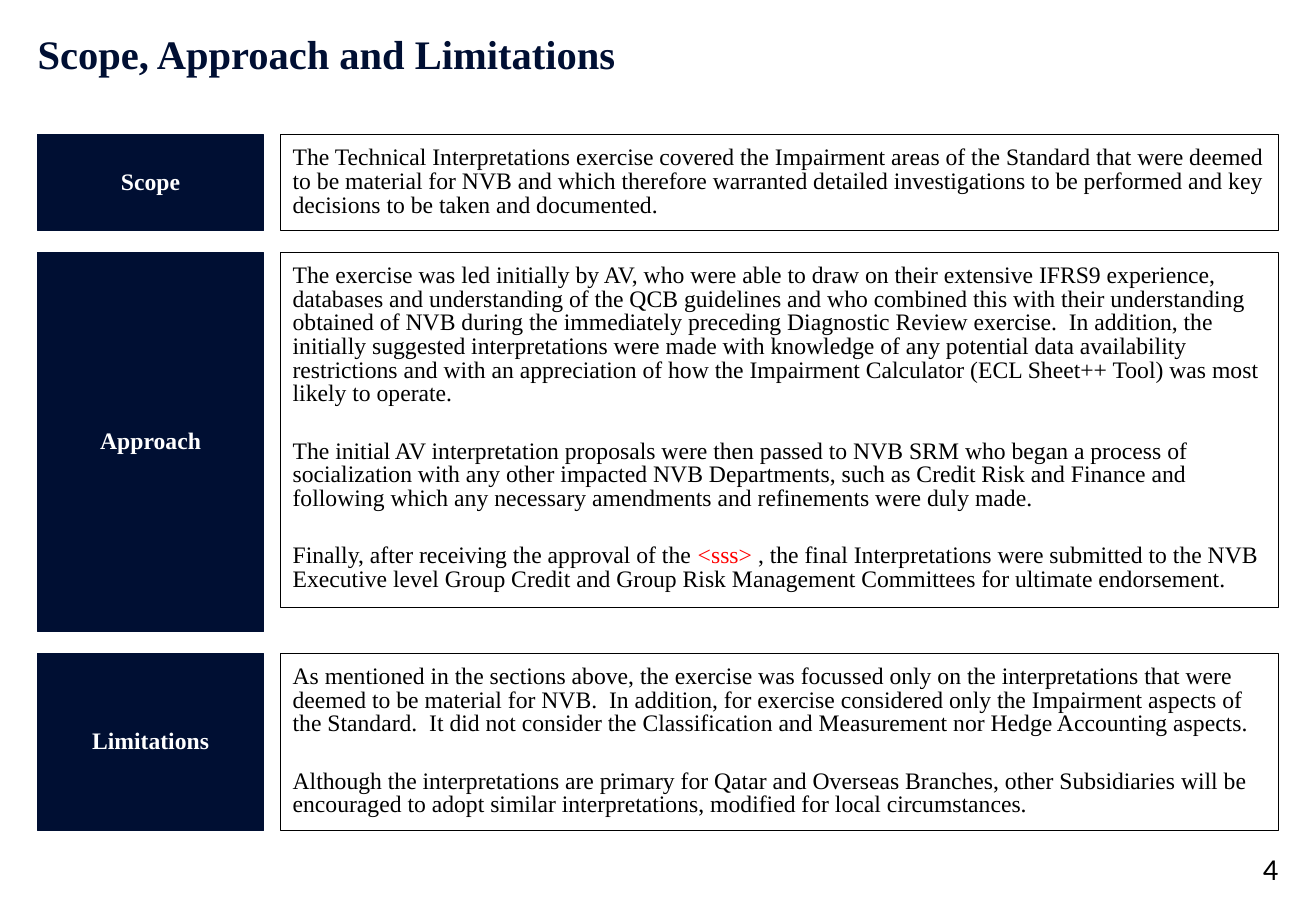
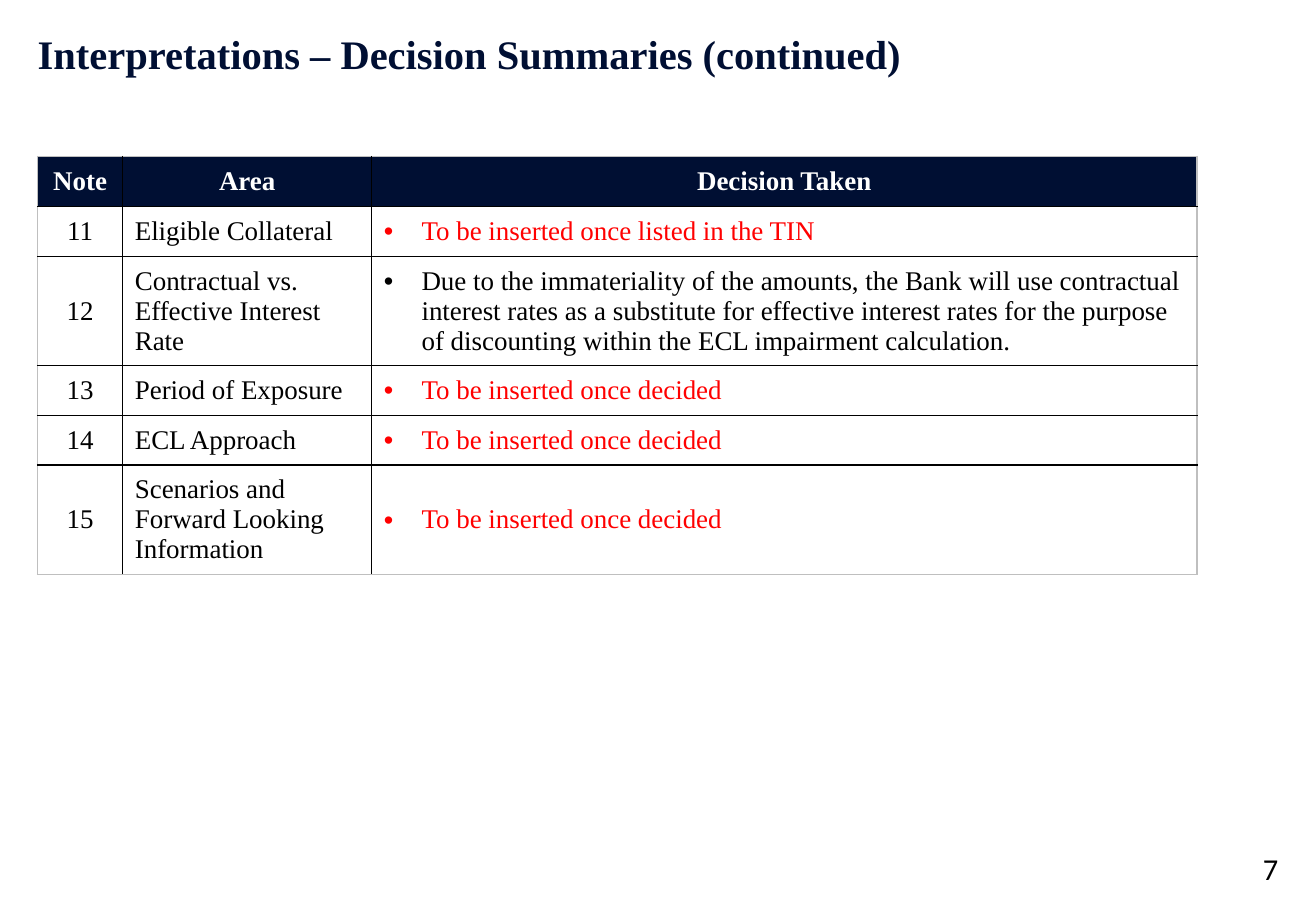
from lxml import etree
from pptx import Presentation
from pptx.dml.color import RGBColor
from pptx.enum.shapes import MSO_SHAPE
from pptx.enum.text import MSO_ANCHOR, MSO_AUTO_SIZE, PP_ALIGN
from pptx.oxml.ns import qn
from pptx.util import Inches, Pt

NAVY = RGBColor(0x00, 0x0F, 0x33)
BLACK = RGBColor(0x00, 0x00, 0x00)
WHITE = RGBColor(0xFF, 0xFF, 0xFF)
RED = RGBColor(0xFF, 0x00, 0x00)
GREY = RGBColor(0xBF, 0xBF, 0xBF)

RECTANGLE = MSO_SHAPE.RECTANGLE
LEFT, CENTER, RIGHT = PP_ALIGN.LEFT, PP_ALIGN.CENTER, PP_ALIGN.RIGHT
TOP, MIDDLE, BOTTOM = MSO_ANCHOR.TOP, MSO_ANCHOR.MIDDLE, MSO_ANCHOR.BOTTOM

SERIF = "Times New Roman"
SANS = "Calibri"
MARGIN = 0.31
RIGHT_EDGE = 10.52
TITLE_ONLY = 5

SECTION_TOP = 1.11
SECTION_GAP = 0.18
LABEL_WIDTH = 1.86
BODY_LEFT = 2.31

# Label, label height, body height, paragraphs; a tuple is a coloured run
SECTIONS = [
    ("Scope", 0.79, 0.79, [
        "The Technical Interpretations exercise covered the Impairment areas of the Standard that were deemed to be material for NVB and which therefore warranted detailed investigations to be performed and key decisions to be taken and documented.",
    ]),
    ("Approach", 3.12, 2.92, [
        "The exercise was led initially by AV, who were able to draw on their extensive IFRS9 experience, databases and understanding of the QCB guidelines and who combined this with their understanding obtained of NVB during the immediately preceding Diagnostic Review exercise.  In addition, the initially suggested interpretations were made with knowledge of any potential data availability restrictions and with an appreciation of how the Impairment Calculator (ECL Sheet++ Tool) was most likely to operate.",
        "The initial AV interpretation proposals were then passed to NVB SRM who began a process of socialization with any other impacted NVB Departments, such as Credit Risk and Finance and following which any necessary amendments and refinements were duly made.",
        ["Finally, after receiving the approval of the ", ("<sss> ", RED),
         ", the final Interpretations were submitted to the NVB Executive level Group Credit and Group Risk Management Committees for ultimate endorsement."],
    ]),
    ("Limitations", 1.46, 1.46, [
        "As mentioned in the sections above, the exercise was focussed only on the interpretations that were deemed to be material for NVB.  In addition, for exercise considered only the Impairment aspects of the Standard.  It did not consider the Classification and Measurement nor Hedge Accounting aspects.",
        "Although the interpretations are primary for Qatar and Overseas Branches, other Subsidiaries will be encouraged to adopt similar interpretations, modified for local circumstances.",
    ]),
]

COLUMN_WIDTHS = [0.7, 2.05, 6.79]
HEADINGS = ["Note", "Area", "Decision Taken"]
# Note, area, decision, decision colour, row height
DECISIONS = [
    ("11", "Eligible Collateral", "To be inserted once listed in the TIN", RED, 0.41),
    ("12", "Contractual vs. Effective Interest Rate",
     "Due to the immateriality of the amounts, the Bank will use contractual interest rates as a substitute for effective interest rates for the purpose of discounting within the ECL impairment calculation.", BLACK, 0.84),
    ("13", "Period of Exposure", "To be inserted once decided", RED, 0.41),
    ("14", "ECL Approach", "To be inserted once decided", RED, 0.41),
    ("15", "Scenarios and Forward Looking Information",
     "To be inserted once decided", RED, 0.84),
]


def add_bullet(paragraph, indent=0.31):
    properties = paragraph._p.get_or_add_pPr()
    properties.set("marL", str(Inches(indent)))
    properties.set("indent", str(-Inches(indent)))
    etree.SubElement(properties, qn("a:buFont"), typeface="Arial")
    etree.SubElement(properties, qn("a:buChar"), char="•")


def write(frame, paragraphs, font=SERIF, size=14, color=BLACK, bold=False,
          align=LEFT, anchor=TOP, inset=None, spacing=None, gap=0, bullet=False):
    """Fill a text frame; each paragraph is a string or a list of runs."""
    frame.word_wrap = True
    frame.vertical_anchor = anchor
    if inset is not None:
        frame.margin_left = frame.margin_right = Inches(inset)
        frame.margin_top = frame.margin_bottom = Inches(inset)
    for index, runs in enumerate(paragraphs):
        paragraph = frame.add_paragraph() if index else frame.paragraphs[0]
        if bullet:
            add_bullet(paragraph)
        paragraph.alignment = align
        if spacing:
            paragraph.line_spacing = spacing
        if index and gap:
            paragraph.space_before = Pt(gap)
        for part in [runs] if isinstance(runs, str) else runs:
            text, run_color = (part, color) if isinstance(part, str) else part
            run = paragraph.add_run()
            run.text = text
            run.font.name = font
            run.font.size = Pt(size)
            run.font.bold = bold
            run.font.color.rgb = run_color


def add_page(prs, heading, number):
    """Add a slide with the shared title and page number."""
    slide = prs.slides.add_slide(prs.slide_layouts[TITLE_ONLY])
    title = slide.shapes.title
    title.left, title.top = Inches(MARGIN), Inches(0.28)
    title.width, title.height = Inches(10.2), Inches(1.01)
    title.text_frame.auto_size = MSO_AUTO_SIZE.NONE
    write(title.text_frame, [heading], size=24, color=NAVY, bold=True,
          inset=0, spacing=0.9)
    page_number = slide.shapes.add_textbox(
        Inches(RIGHT_EDGE - 0.48), Inches(6.99), Inches(0.48), Inches(0.31))
    write(page_number.text_frame, [number], font=SANS, size=18, align=RIGHT,
          anchor=BOTTOM, inset=0)
    return slide


def add_box(slide, left, top, width, height, line, fill=None):
    box = slide.shapes.add_shape(
        RECTANGLE, Inches(left), Inches(top), Inches(width), Inches(height))
    box.shadow.inherit = False
    if fill is None:
        box.fill.background()
    else:
        box.fill.solid()
        box.fill.fore_color.rgb = fill
    box.line.color.rgb = line
    box.line.width = Pt(0.75)
    return box


def add_section(slide, top, label, label_height, body_height, paragraphs):
    """Place a navy label and the outlined text beside it."""
    label_box = add_box(slide, MARGIN, top, LABEL_WIDTH, label_height, NAVY, NAVY)
    write(label_box.text_frame, [label], color=WHITE, bold=True, align=CENTER,
          anchor=MIDDLE, inset=0.1, spacing=Pt(14.4))
    body_box = add_box(slide, BODY_LEFT, top, RIGHT_EDGE - BODY_LEFT, body_height, BLACK)
    write(body_box.text_frame, paragraphs, inset=0.1, spacing=Pt(14), gap=20)


def add_border(cell, side, color):
    line = etree.SubElement(cell._tc.get_or_add_tcPr(), qn(f"a:{side}"), w=str(Pt(1)))
    solid = etree.SubElement(line, qn("a:solidFill"))
    etree.SubElement(solid, qn("a:srgbClr"), val=str(color))


def format_cell(cell, fill, outer_sides):
    """Draw grey outer and black inner borders, then the fill."""
    for side in ("lnL", "lnR", "lnT", "lnB"):
        add_border(cell, side, GREY if side in outer_sides else BLACK)
    cell.fill.solid()
    cell.fill.fore_color.rgb = fill


def add_decision_table(slide, left, top):
    heights = [0.41] + [row[-1] for row in DECISIONS]
    table = slide.shapes.add_table(
        len(heights), len(COLUMN_WIDTHS), Inches(left), Inches(top),
        Inches(sum(COLUMN_WIDTHS)), Inches(sum(heights))).table
    table.horz_banding = False
    for column, width in zip(table.columns, COLUMN_WIDTHS):
        column.width = Inches(width)
    last_row, last_column = len(heights) - 1, len(COLUMN_WIDTHS) - 1
    for r, height in enumerate(heights):
        table.rows[r].height = Inches(height)
        for c in range(len(COLUMN_WIDTHS)):
            cell = table.cell(r, c)
            edges = {"lnL": c == 0, "lnR": c == last_column,
                     "lnT": r == 0, "lnB": r == last_row}
            format_cell(cell, WHITE if r else NAVY,
                        [side for side, outer in edges.items() if outer])
            cell.vertical_anchor = MIDDLE
            if r == 0:
                text, style = HEADINGS[c], dict(color=WHITE, bold=True, align=CENTER)
            else:
                decision = DECISIONS[r - 1]
                text = decision[c]
                style = [dict(align=CENTER), {},
                         dict(color=decision[3], bullet=True)][c]
            write(cell.text_frame, [text], size=16, anchor=MIDDLE, **style)


def main():
    prs = Presentation()
    prs.slide_width, prs.slide_height = Inches(10.83), Inches(7.5)

    # Scope, approach and limitations
    scope_slide = add_page(prs, "Scope, Approach and Limitations", "4")
    top = SECTION_TOP
    for label, label_height, body_height, paragraphs in SECTIONS:
        add_section(scope_slide, top, label, label_height, body_height, paragraphs)
        top += label_height + SECTION_GAP

    # Decision summaries
    decision_slide = add_page(
        prs, "Interpretations – Decision Summaries (continued)", "7")
    add_decision_table(decision_slide, MARGIN, 1.29)

    prs.save("out.pptx")


if __name__ == "__main__":
    main()
